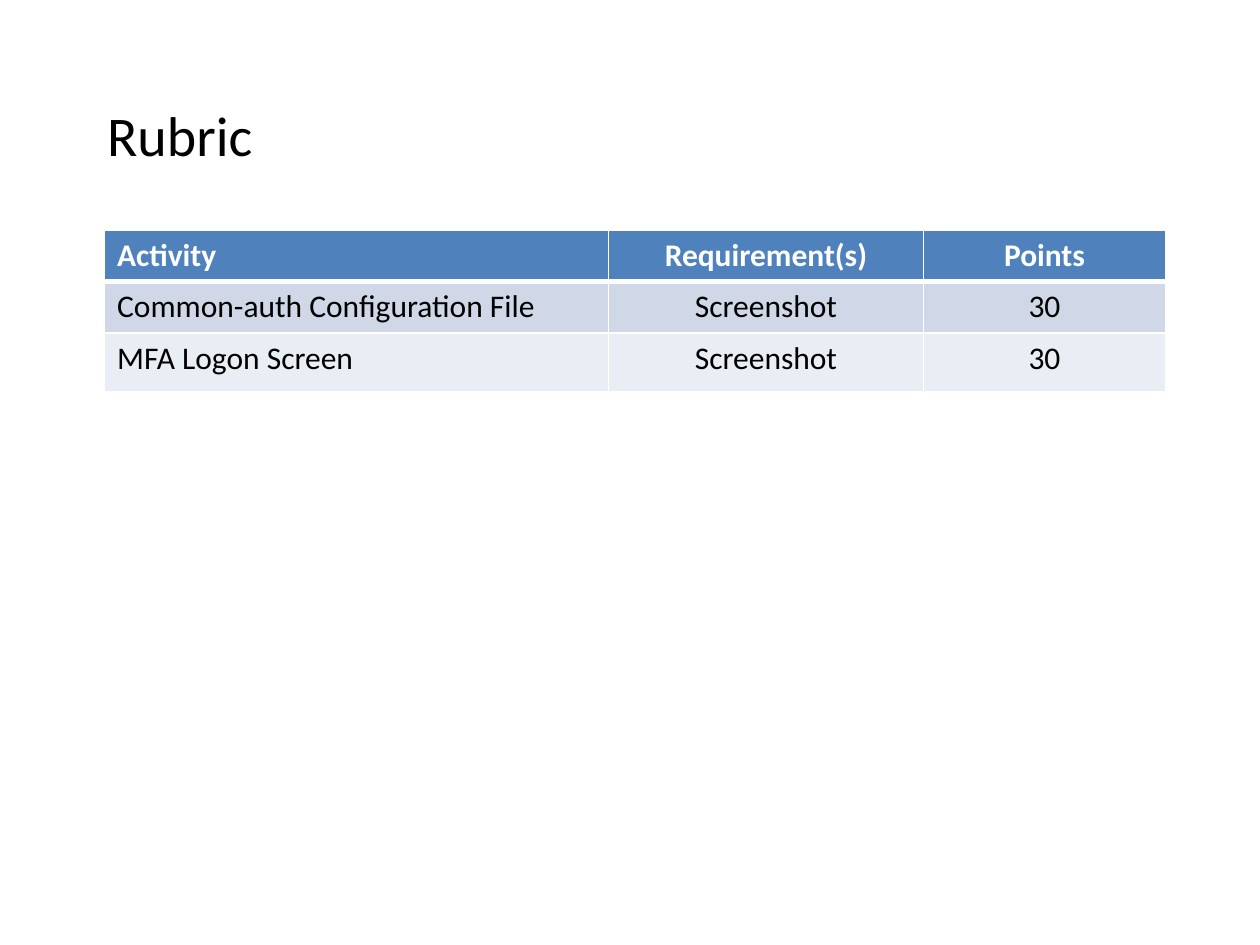
"""Build the rubric slide: a heading above a table of graded activities."""
from lxml import etree
from pptx import Presentation
from pptx.dml.color import RGBColor
from pptx.enum.text import MSO_ANCHOR, PP_ALIGN
from pptx.oxml.ns import qn
from pptx.util import Inches, Pt

LEFT, CENTER = PP_ALIGN.LEFT, PP_ALIGN.CENTER
TOP = MSO_ANCHOR.TOP

BLACK = RGBColor(0x00, 0x00, 0x00)
WHITE = RGBColor(0xFF, 0xFF, 0xFF)
HEADER_BLUE = RGBColor(0x4F, 0x81, 0xBD)
BANDS = (RGBColor(0xD0, 0xD8, 0xE8), RGBColor(0xE9, 0xED, 0xF4))

HEADING = "Rubric"
RUBRIC = [
    ("Activity", "Requirement(s)", "Points"),
    ("Common-auth Configuration File", "Screenshot", "30"),
    ("MFA Logon Screen", "Screenshot", "30"),
]
COLUMN_WIDTHS = (4, 2.5, 1.92)
ROW_HEIGHTS = (0.4, 0.4, 0.47)
ALIGNMENTS = (LEFT, CENTER, CENTER)

HEADING_FONT = {"name": "Calibri", "size": Pt(32), "bold": False}
HEADER_FONT = {"name": "Calibri", "size": Pt(18), "bold": True}
BODY_FONT = {"name": "Calibri", "size": Pt(18), "bold": False}


def write(paragraph, text, font_format, color, alignment):
    paragraph.text = text
    paragraph.alignment = alignment
    for attribute, value in font_format.items():
        setattr(paragraph.font, attribute, value)
    paragraph.font.color.rgb = color


def add_borders(cell, row):
    widths = {
        "lnL": 1,
        "lnR": 1,
        "lnT": 3 if row == 1 else 1,
        "lnB": 3 if row == 0 else 1,
    }
    properties = cell._tc.get_or_add_tcPr()
    for side, width in widths.items():
        line = etree.SubElement(properties, qn(f"a:{side}"), w=str(Pt(width)))
        fill = etree.SubElement(line, qn("a:solidFill"))
        etree.SubElement(fill, qn("a:srgbClr"), val=str(WHITE))


def add_heading(slide):
    heading = slide.shapes.title
    heading.left, heading.top = Inches(0.75), Inches(0.75)
    heading.width, heading.height = Inches(9), Inches(4.95)
    heading.text_frame.vertical_anchor = TOP
    write(heading.text_frame.paragraphs[0], HEADING, HEADING_FONT, BLACK, LEFT)


def add_rubric(slide):
    rubric = slide.shapes.add_table(
        len(RUBRIC), len(COLUMN_WIDTHS), Inches(0.83), Inches(1.83),
        Inches(sum(COLUMN_WIDTHS)), Inches(sum(ROW_HEIGHTS)),
    ).table
    for column, width in zip(rubric.columns, COLUMN_WIDTHS):
        column.width = Inches(width)
    for row, (entries, height) in enumerate(zip(RUBRIC, ROW_HEIGHTS)):
        rubric.rows[row].height = Inches(height)
        if row == 0:
            font_format, color, background = HEADER_FONT, WHITE, HEADER_BLUE
        else:
            font_format, color = BODY_FONT, BLACK
            background = BANDS[(row - 1) % len(BANDS)]
        for column, (entry, alignment) in enumerate(zip(entries, ALIGNMENTS)):
            cell = rubric.cell(row, column)
            add_borders(cell, row)
            cell.fill.solid()
            cell.fill.fore_color.rgb = background
            write(cell.text_frame.paragraphs[0], entry, font_format, color, alignment)


def main():
    deck = Presentation()
    deck.slide_width, deck.slide_height = Inches(10), Inches(7.5)
    slide = deck.slides.add_slide(deck.slide_layouts.get_by_name("Title Only"))
    add_heading(slide)
    add_rubric(slide)
    deck.save("out.pptx")


if __name__ == "__main__":
    main()
